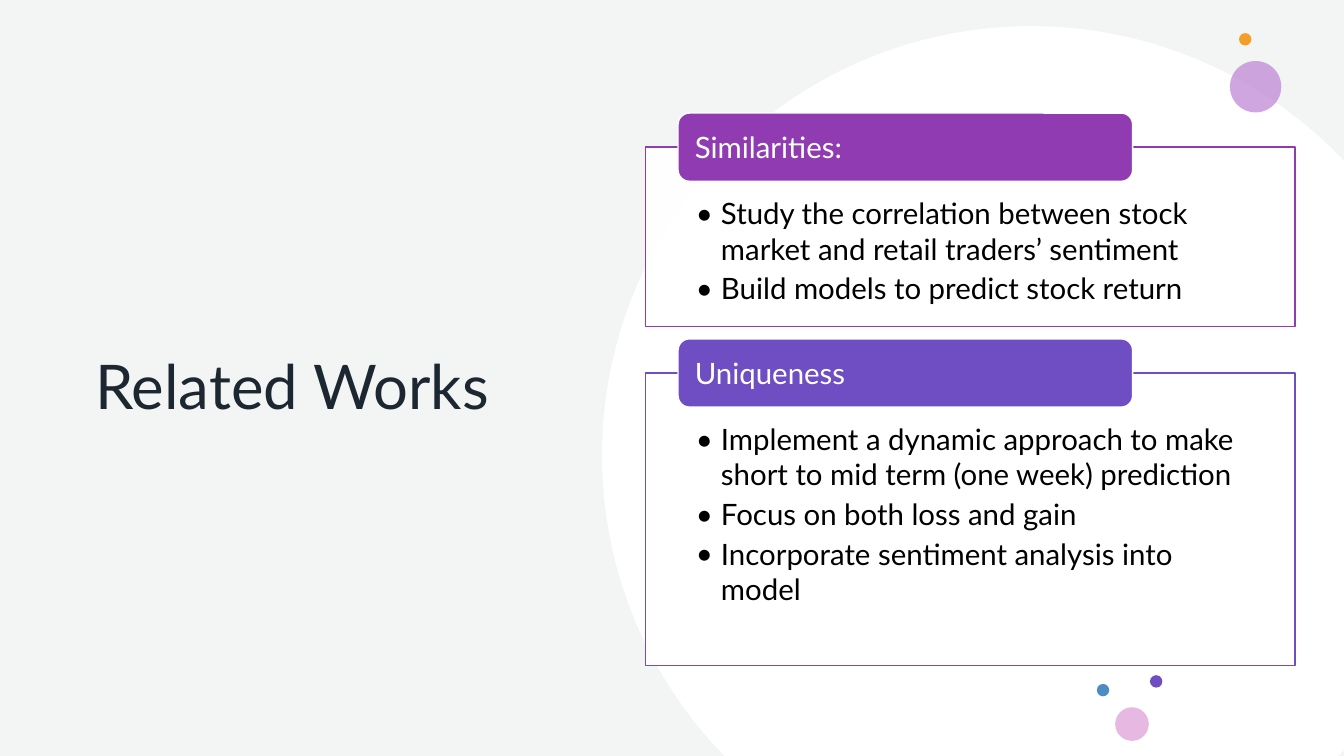
import math
from dataclasses import dataclass

from lxml import etree
from pptx import Presentation
from pptx import util as u
from pptx.dml.color import RGBColor
from pptx.enum import shapes, text
from pptx.oxml.ns import qn


@dataclass(frozen=True)
class Theme:
    font: str = "Lato"
    title_size: int = 44
    body_size: int = 21
    back: str = "F2F5F3"
    white: str = "FFFFFF"
    ink: str = "1C2732"
    black: str = "000000"
    purple: str = "903BB1"
    violet: str = "6F4DC3"
    lilac: str = "BF84D6"
    orange: str = "F39E29"
    pink: str = "E7B8E1"
    blue: str = "4D8CC3"


theme = Theme()
COLS, ROWS = 40, 22.5
prs = Presentation()
prs.slide_width, prs.slide_height = u.Inches(40 / 3), u.Inches(7.5)
cell = prs.slide_width / COLS
s = prs.slides.add_slide(prs.slide_layouts[6])
s.background.fill.solid()
s.background.fill.fore_color.rgb = RGBColor.from_string(theme.back)


def paint(sp, fill, line=None, opacity=100):
    """Flat fill, optional 1 pt outline, no shadow; opacity in percent."""
    sp.shadow.inherit = False
    sp.fill.solid()
    sp.fill.fore_color.rgb = RGBColor.from_string(fill)
    if opacity < 100:
        color = sp.fill._xPr.find(qn("a:solidFill"))[0]
        etree.SubElement(color, qn("a:alpha"), val=str(opacity * 1000))
    if line:
        sp.line.color.rgb = RGBColor.from_string(line)
        sp.line.width = u.Pt(1)
    else:
        sp.line.fill.background()


def write(sp, lines, size, color, margins, anchor, bullets=False):
    """Left-aligned paragraphs; margins (left, top, right, bottom) in cells."""
    tf = sp.text_frame
    tf.word_wrap = True
    tf.vertical_anchor = anchor
    tf.margin_left, tf.margin_top, tf.margin_right, tf.margin_bottom = (
        round(m * cell) for m in margins)
    for i, line in enumerate(lines):
        p = tf.paragraphs[0] if i == 0 else tf.add_paragraph()
        p.alignment = text.PP_ALIGN.LEFT
        if bullets:
            p.space_after = u.Pt(0.15 * size)
            pPr = p._p.get_or_add_pPr()
            indent = round(0.75 * cell)
            pPr.set("marL", str(indent))
            pPr.set("indent", str(-indent))
            etree.SubElement(pPr, qn("a:buFont"), typeface=theme.font)
            etree.SubElement(pPr, qn("a:buChar"), char="•")
        r = p.add_run()
        r.text = line
        r.font.name, r.font.size = theme.font, u.Pt(size)
        r.font.color.rgb = RGBColor.from_string(color)


# Title
title = s.shapes.add_textbox(*(round(n * cell) for n in (2.54, 3.12, 15.12, 16.92)))
write(title, ["Related Works"], theme.title_size, theme.ink,
      (0.3, 0.15, 0.3, 0.15), text.MSO_ANCHOR.MIDDLE)
title.text_frame.paragraphs[0].line_spacing = 0.9

# White disc, cut off at the slide's right and bottom edges
disc_x, disc_y, radius = 30.7, 13.56, 12.78
right = math.acos((COLS - disc_x) / radius)
bottom = math.asin((ROWS - disc_y) / radius)
angles = [-math.pi / 2, -right, right, bottom,
          math.pi - bottom, math.pi, math.pi * 1.5]
rim = [((disc_x + radius * math.cos(a)) * cell,
        (disc_y + radius * math.sin(a)) * cell) for a in angles]
outline = s.shapes.build_freeform(*rim[0])
outline.add_line_segments(rim[1:], close=True)
disc = outline.convert_to_shape()
paint(disc, theme.white)

# Bend the segments that follow the rim: 1st, 5th and 6th
segments = disc._element.findall(".//" + qn("a:lnTo"))
for i in (0, 4, 5):
    start, end = angles[i], angles[i + 1]
    pull = 4 / 3 * math.tan((end - start) / 4)
    segment = segments[i]
    curve = etree.Element(qn("a:cubicBezTo"))
    for a, k in ((start, pull), (end, -pull)):
        x = disc_x + radius * (math.cos(a) - k * math.sin(a))
        y = disc_y + radius * (math.sin(a) + k * math.cos(a))
        etree.SubElement(curve, qn("a:pt"), x=str(round(x * cell - disc.left)),
                         y=str(round(y * cell - disc.top)))
    curve.append(segment[0])
    segment.getparent().replace(segment, curve)

# Dots: centre x, centre y, diameter, colour, opacity
for x, y, d, color, opacity in [
    (37.37, 2.58, 1.53, theme.lilac, 72),
    (37.06, 1.17, 0.37, theme.orange, 100),
    (34.41, 20.28, 0.37, theme.violet, 100),
    (33.69, 21.55, 1, theme.pink, 100),
    (32.83, 20.54, 0.37, theme.blue, 100),
]:
    dot = s.shapes.add_shape(shapes.MSO_SHAPE.OVAL, *(
        round(n * cell) for n in (x - d / 2, y - d / 2, d, d)))
    paint(dot, color, opacity=opacity)

# Panels, each with a heading tab centred on its top edge
left, width, gap = 19.21, 19.33, 1.38
tab_width, tab_height = 13.53, 2.03
top = 4.38
for heading, height, color, points in [
    ("Similarities:", 5.34, theme.purple, [
        "Study the correlation between stock market and retail traders’ sentiment",
        "Build models to predict stock return"]),
    ("Uniqueness", 8.7, theme.violet, [
        "Implement a dynamic approach to make short to mid term (one week) prediction",
        "Focus on both loss and gain",
        "Incorporate sentiment analysis into model"]),
]:
    panel = s.shapes.add_shape(shapes.MSO_SHAPE.RECTANGLE, *(
        round(n * cell) for n in (left, top, width, height)))
    paint(panel, theme.white, color, opacity=90)
    write(panel, points, theme.body_size, theme.black,
          (1.5, 1.44, 1.5, 0.48), text.MSO_ANCHOR.TOP, bullets=True)
    tab = s.shapes.add_shape(shapes.MSO_SHAPE.ROUNDED_RECTANGLE, *(
        round(n * cell) for n in (left + 0.97, top - tab_height / 2, tab_width, tab_height)))
    paint(tab, color, theme.white)
    write(tab, [heading], theme.body_size, theme.white,
          (0.4, 0, 0.4, 0), text.MSO_ANCHOR.MIDDLE)
    top += height + gap

prs.save("out.pptx")
